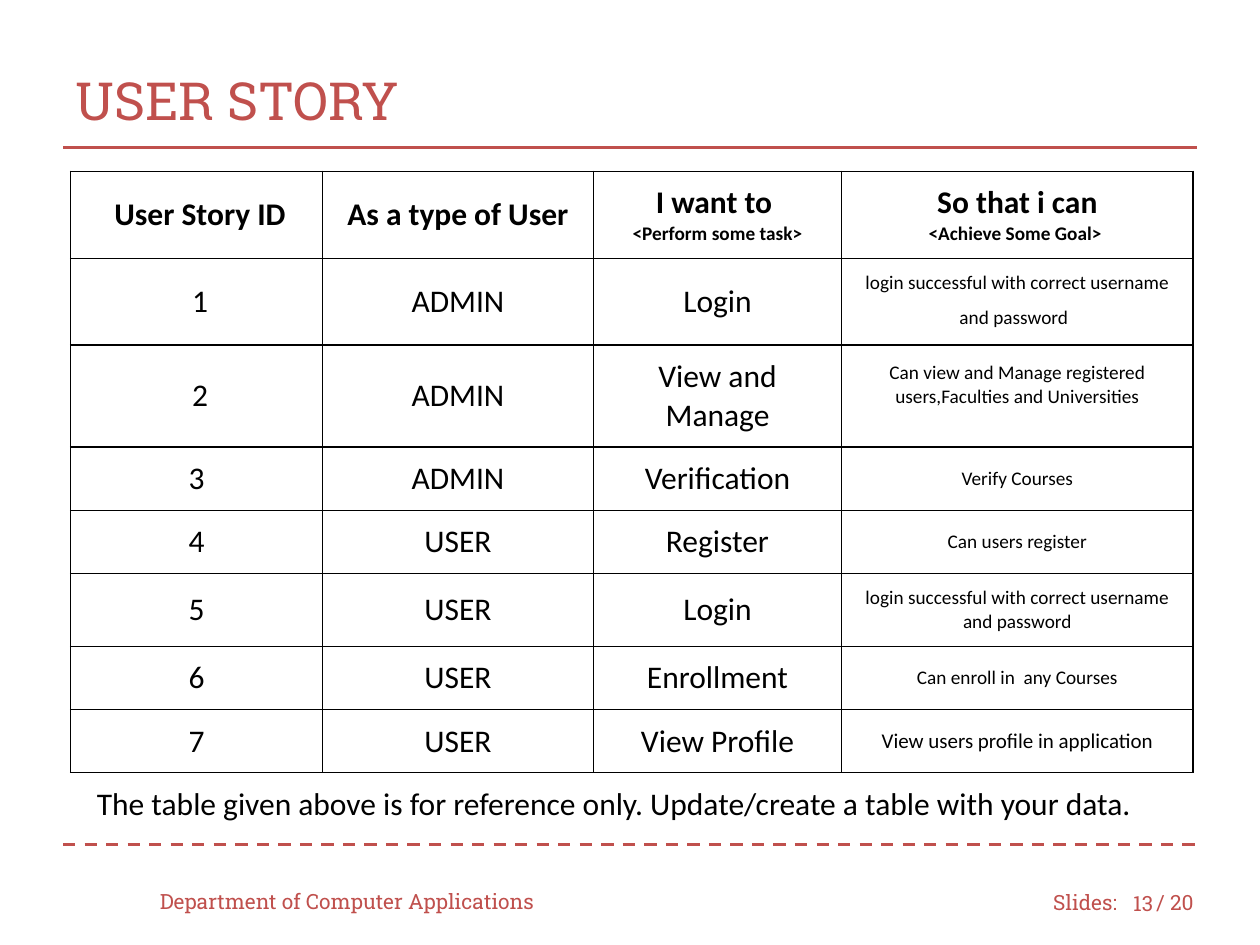
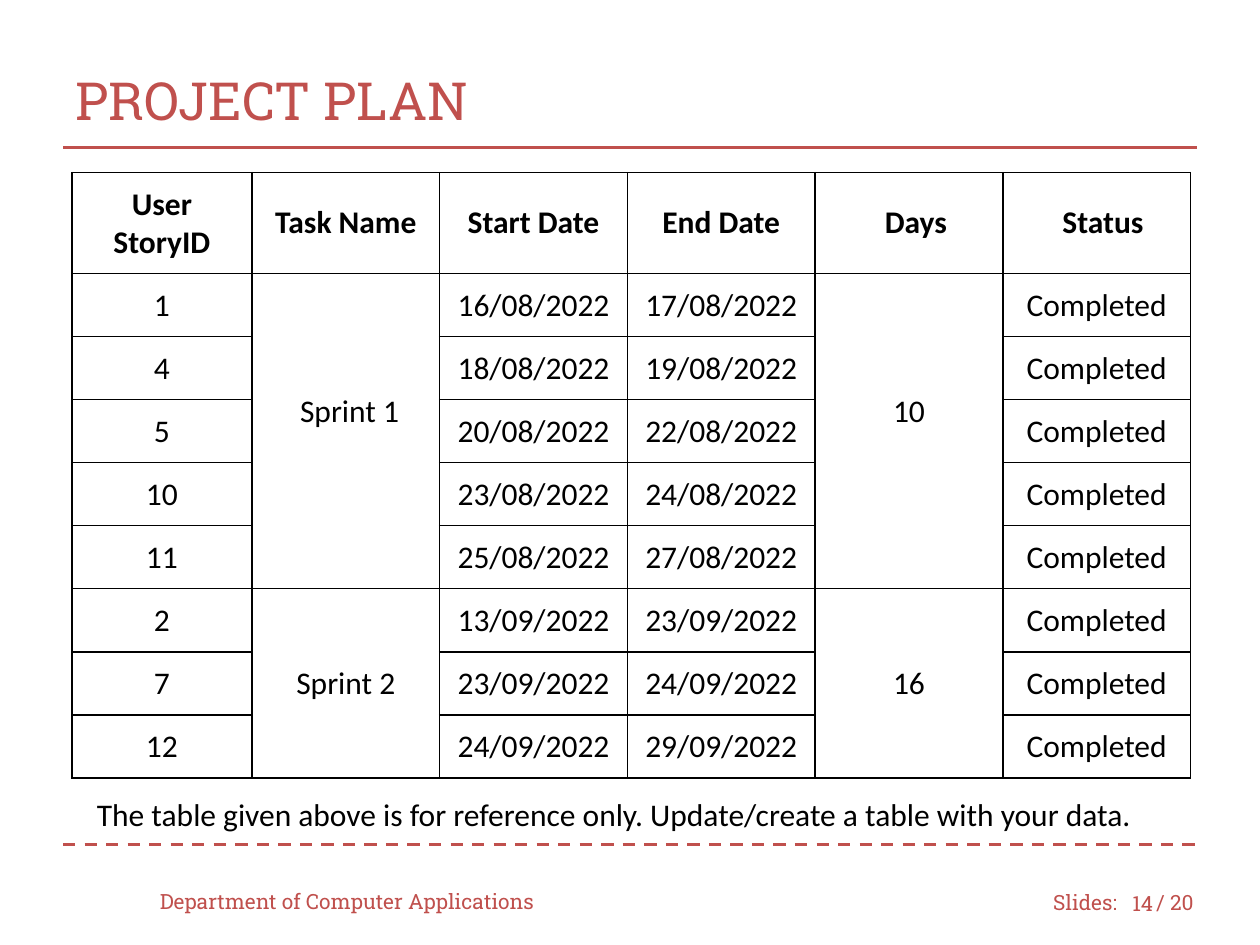
from dataclasses import dataclass

from lxml import etree
from pptx import Presentation
from pptx.dml.color import RGBColor as RGB
from pptx.enum.dml import MSO_LINE_DASH_STYLE as Dash
from pptx.enum.shapes import MSO_CONNECTOR as Connector
from pptx.enum.text import MSO_ANCHOR as Anchor, PP_ALIGN as Align
from pptx.oxml.ns import qn
from pptx.util import Inches, Pt


@dataclass(frozen=True)
class Theme:
    accent: str = "C0504D"
    ink: str = "000000"
    paper: str = "FFFFFF"
    head_font: str = "Roboto Slab"
    body_font: str = "Calibri"
    title: float = 30
    body: float = 18
    footer: float = 12
    detail: float = 11
    rule: float = 1.75
    border: float = 1
    pad: float = 0.1


class Deck:
    def __init__(self, theme):
        self.t = theme
        self.prs = Presentation()
        self.prs.slide_width, self.prs.slide_height = Inches(10), Inches(7.5)
        self.s = None

    def slide(self, title, number):
        """Start a slide with the shared title, rules and footer."""
        t = self.t
        self.s = self.prs.slides.add_slide(self.prs.slide_layouts[6])
        self.rule(6.7, Dash.DASH)
        self.rule(1.17)
        self.label(title, 0.5, 0.33, 9, 0.92, size=t.title)
        self.label("Department of Computer Applications", 1.17, 6.95, 3.33)
        self.label("Slides:", 8.26, 6.96, 0.75)
        self.label(str(number), 8.83, 6.97, 0.42, align=Align.RIGHT)
        self.label("/ 20", 9.08, 6.96, 0.58)

    def rule(self, y, dash=None):
        line = self.s.shapes.add_connector(
            Connector.STRAIGHT, Inches(0.5), Inches(y), Inches(9.5), Inches(y))
        line.line.color.rgb = RGB.from_string(self.t.accent)
        line.line.width = Pt(self.t.rule)
        if dash:
            line.line.dash_style = dash
        etree.SubElement(line._element.spPr, qn("a:effectLst"))

    def run(self, p, text, size, font, color, bold=False):
        r = p.add_run()
        r.text = text
        for name, value in dict(size=Pt(size), name=font, bold=bold).items():
            setattr(r.font, name, value)
        r.font.color.rgb = RGB.from_string(color)

    def text_box(self, x, y, w, h, anchor):
        tf = self.s.shapes.add_textbox(
            Inches(x), Inches(y), Inches(w), Inches(h)).text_frame
        tf.word_wrap, tf.vertical_anchor = True, anchor
        return tf.paragraphs[0]

    def label(self, text, x, y, w, h=0.4, size=None, align=Align.LEFT):
        """Accent-coloured text for titles and footers."""
        p = self.text_box(x, y, w, h, Anchor.MIDDLE)
        p.alignment = align
        self.run(p, text, size or self.t.footer, self.t.head_font, self.t.accent)

    def note(self, text, y):
        p = self.text_box(0.67, y, 8.58, 0.4, Anchor.TOP)
        self.run(p, text, self.t.body, self.t.body_font, self.t.ink)

    def table(self, x, y, cols, heights, rows, merges=(), pads=None):
        """Cells hold a string or a list of paragraphs, each a list of
        (text, size) runs; pads adds cell margins by (row, column)."""
        table = self.s.shapes.add_table(
            len(rows), len(cols), Inches(x), Inches(y),
            Inches(sum(cols)), Inches(sum(heights))).table
        for column, w in zip(table.columns, cols):
            column.width = Inches(w)
        for row, h in zip(table.rows, heights):
            row.height = Inches(h)
        for i, row in enumerate(rows):
            for j, content in enumerate(row):
                extra = (pads or {}).get((i, j), {})
                self.cell(table.cell(i, j), content, i == 0, extra)
        for first, last, col in merges:
            table.cell(first, col).merge(table.cell(last, col))

    def cell(self, cell, content, bold, extra):
        t = self.t
        for side in ("left", "right", "top", "bottom"):
            setattr(cell, f"margin_{side}", Inches(t.pad + extra.get(side, 0)))
        cell.vertical_anchor = Anchor.MIDDLE
        self.borders(cell)
        cell.fill.solid()
        cell.fill.fore_color.rgb = RGB.from_string(t.paper)
        if content is None:
            return
        paragraphs = [[(content, t.body)]] if isinstance(content, str) else content
        tf = cell.text_frame
        for k, runs in enumerate(paragraphs):
            p = tf.add_paragraph() if k else tf.paragraphs[0]
            p.alignment = Align.CENTER
            for text, size in runs:
                self.run(p, text, size, t.body_font, t.ink, bold)

    def borders(self, cell):
        tc_pr = cell._tc.get_or_add_tcPr()
        for tag in ("a:lnL", "a:lnR", "a:lnT", "a:lnB"):
            ln = etree.SubElement(tc_pr, qn(tag), w=str(Pt(self.t.border)))
            fill = etree.SubElement(ln, qn("a:solidFill"))
            etree.SubElement(fill, qn("a:srgbClr"), val=self.t.ink)


NOTE = ("The table given above is for reference only. "
        "Update/create a table with your data.")
LOGIN_GOAL = "login successful with correct username and password"


def user_story(deck):
    t = deck.t
    deck.slide("USER STORY", 13)

    def goal(text, size=t.detail, tail=()):
        return [[(text, size), *tail]]

    def heading(text, hint):
        return [[(text, t.body)], [(hint, t.detail)]]

    rows = [
        (" User Story ID", "As a type of User",
         heading("I want to ", "<Perform some task>"),
         heading("So that i can", "<Achieve Some Goal> ")),
        (" 1", "ADMIN", "Login", goal(LOGIN_GOAL, tail=[(" ", t.body)])),
        (" 2", "ADMIN", "View and Manage",
         goal("Can view and Manage registered users,Faculties and Universities")),
        ("3", "ADMIN", "Verification", goal("Verify Courses")),
        ("4", "USER", "Register", goal("Can users register")),
        ("5", "USER", "Login", goal(LOGIN_GOAL)),
        ("6", "USER", "Enrollment", goal("Can enroll in  any Courses")),
        ("7", "USER", "View Profile",
         goal("View users profile in application", t.footer)),
    ]
    deck.table(0.56, 1.36, [2, 2.15, 1.97, 2.79],
               [0.69, 0.69, 0.81, 0.5, 0.5, 0.58, 0.5, 0.5], rows,
               pads={(2, 3): dict(bottom=0.18)})
    deck.note(NOTE, 6.17)


def project_plan(deck):
    t = deck.t
    deck.slide("PROJECT PLAN", 14)
    sprints = [
        ("Sprint 1", "10", [
            ("1", "16/08/2022", "17/08/2022"),
            ("4", "18/08/2022", "19/08/2022"),
            ("5", "20/08/2022", "22/08/2022"),
            ("10", "23/08/2022", "24/08/2022"),
            ("11", "25/08/2022", "27/08/2022")]),
        ("Sprint 2", "16", [
            ("2", "13/09/2022", "23/09/2022"),
            ("7", "23/09/2022", "24/09/2022"),
            ("12", "24/09/2022", "29/09/2022")]),
    ]
    rows = [([[("User", t.body)], [("StoryID", t.body)]],
             "Task Name", "Start Date", "End Date", "Days", "Status")]
    merges = []

    # Task name and days span all the stories of a sprint
    for sprint, days, stories in sprints:
        first = len(rows)
        for k, (story, start, end) in enumerate(stories):
            rows.append((story, None if k else sprint, start, end,
                         None if k else days, "Completed"))
        merges += [(first, len(rows) - 1, col) for col in (1, 4)]

    deck.table(0.57, 1.37, [1.43] + [1.49] * 5, [0.8] + [0.5] * 8, rows, merges,
               pads={(0, 4): dict(left=0.11), (0, 5): dict(left=0.1),
                     (1, 1): dict(left=0.06, bottom=0.3),
                     (1, 4): dict(bottom=0.3)})
    deck.note(NOTE, 6.26)


def main():
    deck = Deck(Theme())
    user_story(deck)
    project_plan(deck)
    deck.prs.save("out.pptx")


if __name__ == "__main__":
    main()
